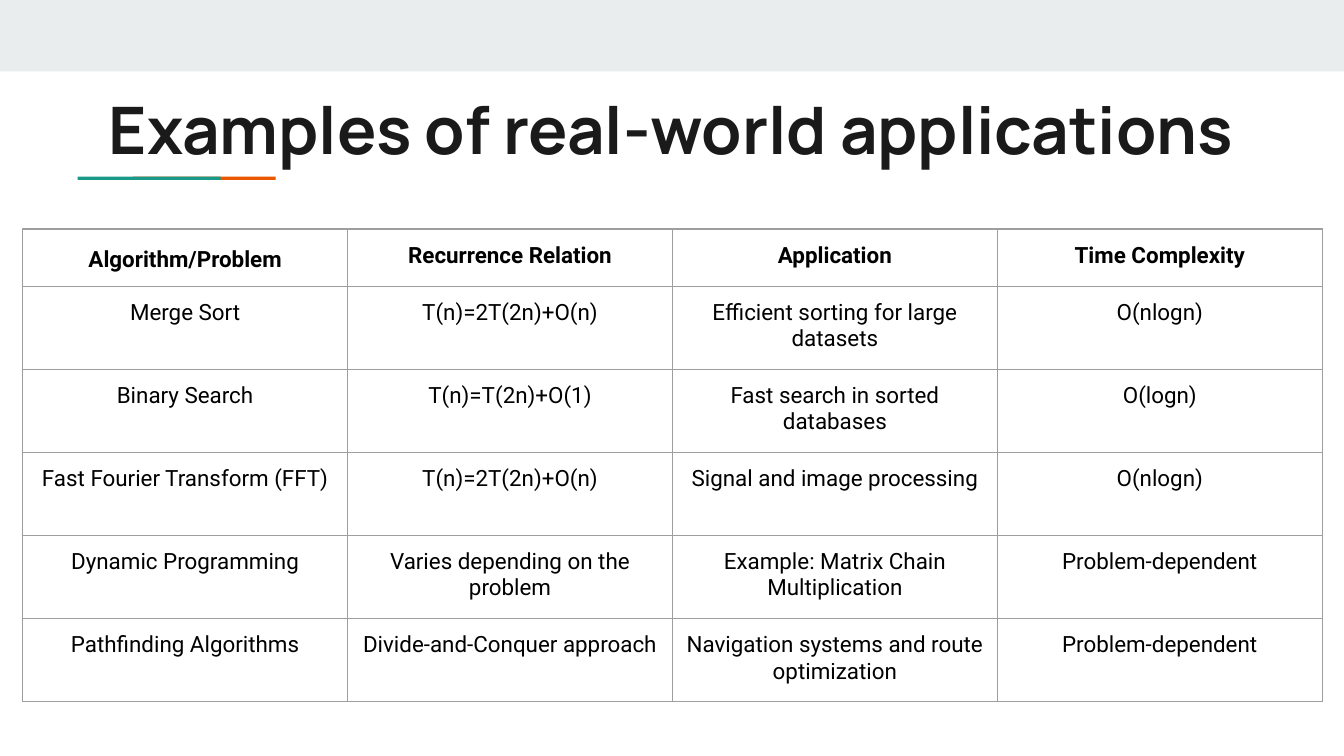
from lxml.etree import SubElement
from pptx import Presentation
from pptx.dml.color import RGBColor
from pptx.enum.shapes import MSO_SHAPE
from pptx.enum.text import MSO_ANCHOR, PP_ALIGN
from pptx.oxml.ns import qn
from pptx.util import Cm, Pt

BAND_GREY = RGBColor(0xE9, 0xED, 0xEE)
ORANGE = RGBColor(0xEB, 0x56, 0x00)
TEAL = RGBColor(0x1A, 0x99, 0x88)
TITLE_INK = RGBColor(0x1A, 0x1A, 0x1A)
BLACK = RGBColor(0, 0, 0)
BORDER_GREY = RGBColor(0x9E, 0x9E, 0x9E)

INSETS = {f"margin_{side}": Cm(0.25) for side in ("left", "right", "top", "bottom")}
TITLE_FONT = {"name": "Manrope", "size": Pt(35.1), "bold": True}
CELL_FONT = {"name": "Roboto", "size": Pt(12)}

ROWS = [
    ("Algorithm/Problem", "Recurrence Relation", "Application", "Time Complexity"),
    ("Merge Sort", "T(n)=2T(2n)+O(n)", "Efficient sorting for large datasets", "O(nlogn)"),
    ("Binary Search", "T(n)=T(2n)+O(1)", "Fast search in sorted databases", "O(logn)"),
    ("Fast Fourier Transform (FFT)", "T(n)=2T(2n)+O(n)", "Signal and image processing", "O(nlogn)"),
    ("Dynamic Programming", "Varies depending on the problem",
     "Example: Matrix Chain Multiplication", "Problem-dependent"),
    ("Pathfinding Algorithms", "Divide-and-Conquer approach",
     "Navigation systems and route optimization", "Problem-dependent"),
]


def apply_format(target, values):
    for name, value in values.items():
        setattr(target, name, value)


def write_centred(paragraph, text, font, color):
    paragraph.alignment = PP_ALIGN.CENTER
    span = paragraph.add_run()
    span.text = text
    apply_format(span.font, font)
    span.font.color.rgb = color


def add_bar(page, left, top, width, height, color):
    bar = page.shapes.add_shape(MSO_SHAPE.RECTANGLE, Cm(left), Cm(top), Cm(width), Cm(height))
    bar.shadow.inherit = False
    bar.fill.solid()
    bar.fill.fore_color.rgb = color
    bar.line.fill.background()


def add_title(page, text):
    box = page.shapes.add_textbox(Cm(1.27), Cm(1.42), Cm(22.83), Cm(2.03))
    frame = box.text_frame
    apply_format(frame, {**INSETS, "word_wrap": True, "vertical_anchor": MSO_ANCHOR.MIDDLE})
    write_centred(frame.paragraphs[0], text, TITLE_FONT, TITLE_INK)


def add_borders(cell):
    properties = cell._tc.get_or_add_tcPr()
    for position, side in enumerate(("lnL", "lnR", "lnT", "lnB")):
        line = properties.makeelement(qn(f"a:{side}"), {"w": str(Pt(0.75))})
        fill = SubElement(line, qn("a:solidFill"))
        SubElement(fill, qn("a:srgbClr"), val=str(BORDER_GREY))
        properties.insert(position, line)


def add_grid(page, rows):
    header_height, body_height, column_width = Cm(1.08), Cm(1.57), Cm(6.14)
    height = header_height + body_height * (len(rows) - 1)
    table = page.shapes.add_table(
        len(rows), len(rows[0]), Cm(0.43), Cm(4.33), column_width * len(rows[0]), height
    ).table
    apply_format(table, {"first_row": False, "horz_banding": False})
    for column in table.columns:
        column.width = column_width
    for row_index, texts in enumerate(rows):
        is_header = row_index == 0
        table.rows[row_index].height = header_height if is_header else body_height
        for column_index, text in enumerate(texts):
            cell = table.cell(row_index, column_index)
            apply_format(cell, INSETS)
            cell.fill.background()
            add_borders(cell)
            write_centred(cell.text_frame.paragraphs[0], text, {**CELL_FONT, "bold": is_header}, BLACK)
    table.cell(0, 0).text_frame.paragraphs[0].line_spacing = 1.15


def main():
    deck = Presentation()
    deck.slide_width, deck.slide_height = Cm(25.4), Cm(14.29)
    page = deck.slides.add_slide(deck.slide_layouts[6])
    add_bar(page, 0, 0, 25.4, 1.35, BAND_GREY)
    add_bar(page, 2.51, 3.34, 2.7, 0.06, ORANGE)
    add_bar(page, 1.47, 3.34, 2.7, 0.06, TEAL)
    add_title(page, "Examples of real-world applications")
    add_grid(page, ROWS)
    deck.save("out.pptx")


if __name__ == "__main__":
    main()
